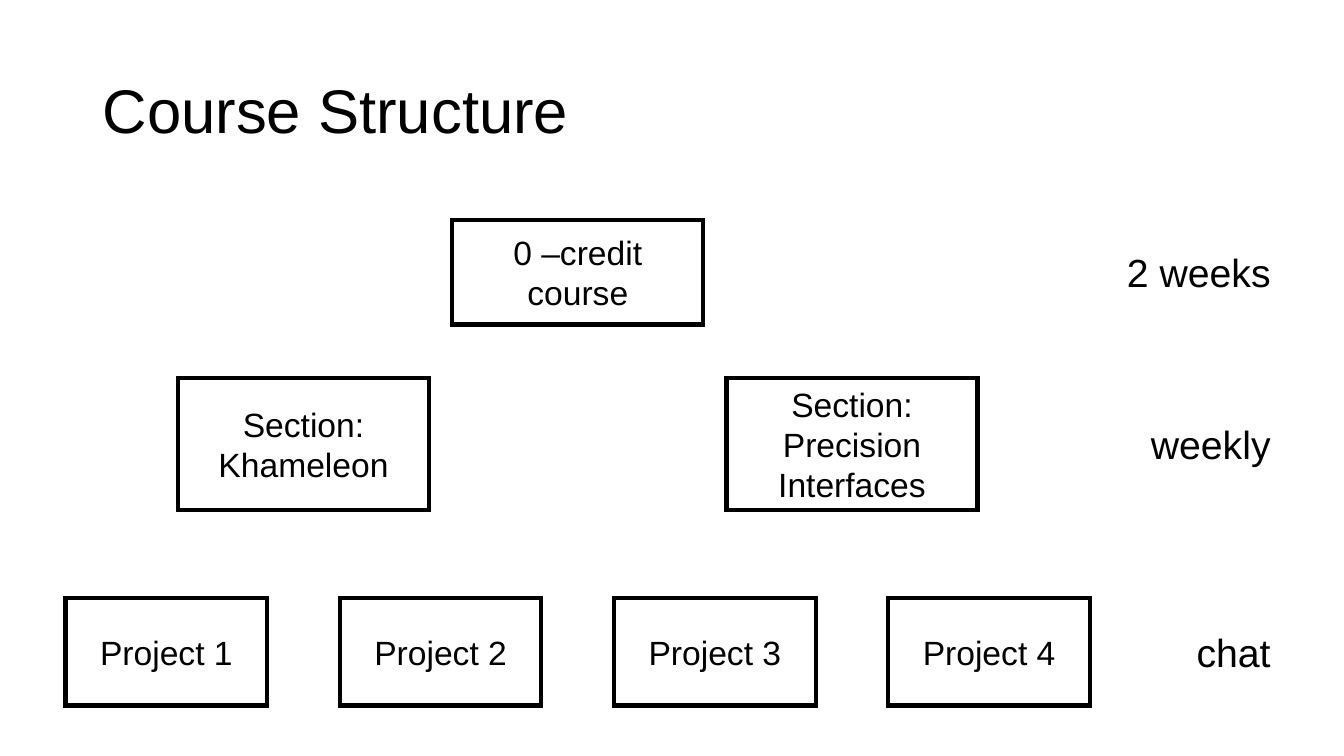
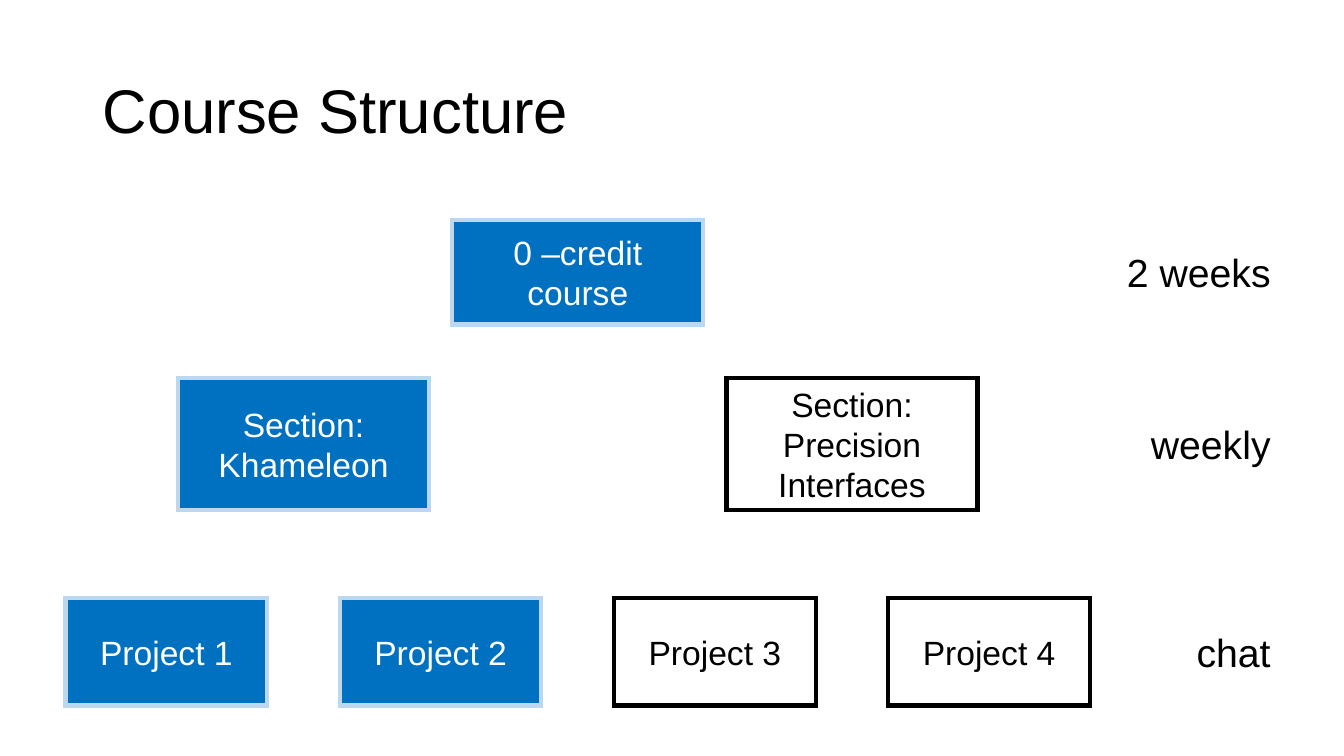
from lxml import etree
from pptx import Presentation
from pptx.dml.color import RGBColor
from pptx.enum import shapes, text
from pptx.oxml.ns import qn
from pptx.util import Inches, Pt

BLACK = RGBColor(0x00, 0x00, 0x00)
WHITE = RGBColor(0xFF, 0xFF, 0xFF)
BLUE = RGBColor(0x00, 0x70, 0xC0)
PALE = RGBColor(0xBD, 0xD7, 0xEE)
FONT = "Arial"

FIRST, STEP = 1.65, 2.72  # centre of the first project, distance to the next
LABEL_W, LABEL_H, LABEL_RIGHT = 1.64, 0.57, 12.7

# top, height, box width, meeting rhythm, boxes as (column, wording)
ROWS = [
    (2.18, 1.04, 2.49, "2 weeks", [(1.5, "0 –credit course")]),
    (3.75, 1.31, 2.49, "weekly", [(0.5, "Section: Khameleon"),
                                  (2.5, "Section: Precision Interfaces")]),
    (5.93, 1.07, 2, "chat", [(col, f"Project {col + 1}") for col in range(4)]),
]
ACTIVE = {"0 –credit course", "Section: Khameleon", "Project 1", "Project 2"}


def write(shape, words, size, color, align):
    frame = shape.text_frame
    frame.text = words
    frame.word_wrap = True
    frame.vertical_anchor = text.MSO_ANCHOR.MIDDLE
    para = frame.paragraphs[0]
    para.alignment = align
    font = para.runs[0].font
    font.name, font.size, font.color.rgb = FONT, Pt(size), color
    return para


def add_text(slide, words, left, top, width, height, size, align):
    box = slide.shapes.add_textbox(
        Inches(left), Inches(top), Inches(width), Inches(height))
    return write(box, words, size, BLACK, align)


def add_title(slide, words):
    para = add_text(slide, words, 0.92, 0.4, 11.5, 1.45, 44, text.PP_ALIGN.LEFT)
    para.line_spacing = 0.9


def add_box(slide, words, center, top, width, height, active):
    box = slide.shapes.add_shape(
        shapes.MSO_SHAPE.RECTANGLE, Inches(center - width / 2), Inches(top),
        Inches(width), Inches(height))
    box.shadow.inherit = False
    if active:
        box.fill.solid()
        box.fill.fore_color.rgb = BLUE
    else:
        box.fill.background()
    box.line.color.rgb = PALE if active else BLACK
    box.line.width = Pt(3)
    # Sharp outline corners
    outline = box.element.spPr.find(qn("a:ln"))
    etree.SubElement(outline, qn("a:miter"), lim="800000")
    write(box, words, 24, WHITE if active else BLACK, text.PP_ALIGN.CENTER)


def add_row(slide, top, height, width, label, boxes, active):
    for col, words in boxes:
        add_box(slide, words, FIRST + col * STEP, top, width, height,
                words in active)
    add_text(slide, label, LABEL_RIGHT - LABEL_W, top + (height - LABEL_H) / 2,
             LABEL_W, LABEL_H, 28, text.PP_ALIGN.RIGHT)


def add_course(deck, active):
    """Add a slide with the course tree, its active boxes in blue."""
    slide = deck.slides.add_slide(deck.slide_layouts[6])
    add_title(slide, "Course Structure")
    for row in ROWS:
        add_row(slide, *row, active)


def main():
    deck = Presentation()
    deck.slide_width, deck.slide_height = Inches(13.33), Inches(7.5)
    for active in (set(), ACTIVE):
        add_course(deck, active)
    deck.save("out.pptx")


if __name__ == "__main__":
    main()
